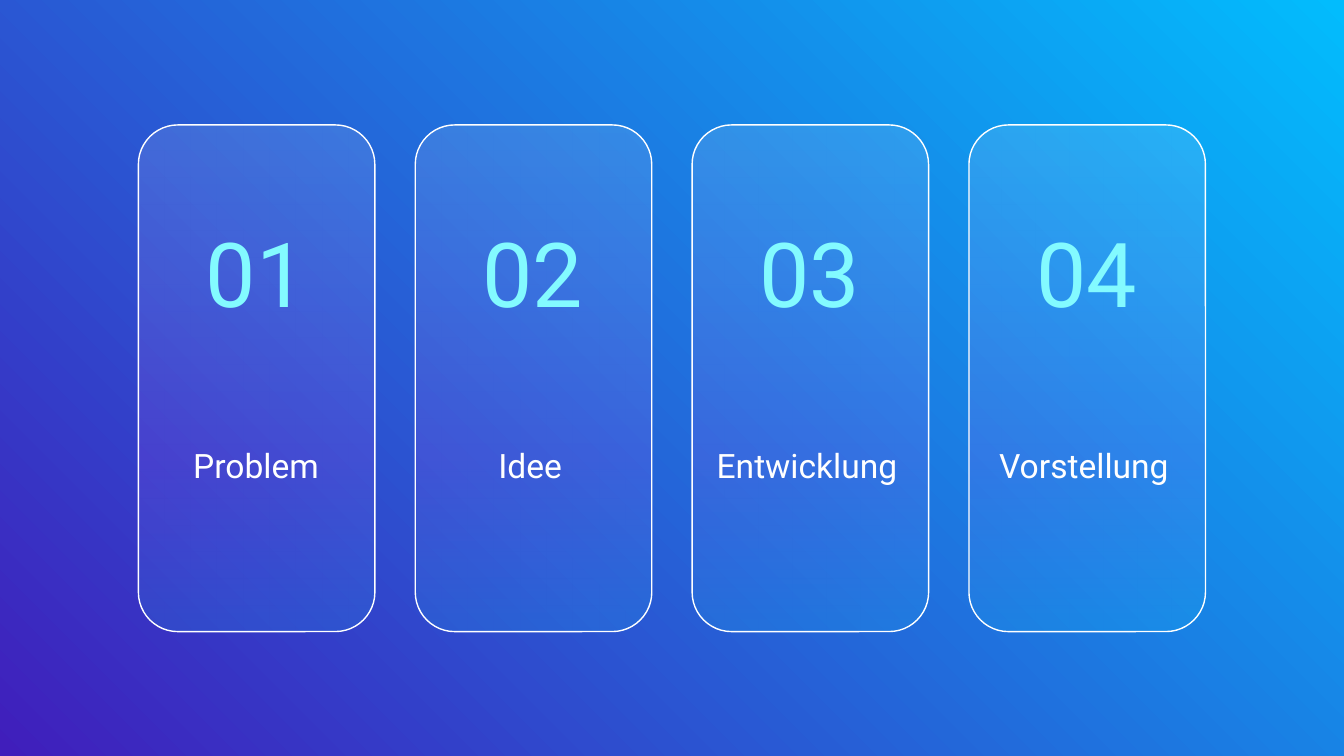
from dataclasses import dataclass

from lxml import etree
from pptx import Presentation
from pptx import util as u
from pptx.dml.color import RGBColor
from pptx.enum import shapes, text
from pptx.oxml.ns import qn


@dataclass(frozen=True)
class Theme:
    font: str = "Roboto"
    number_size: int = 48
    label_size: int = 18
    number_color: str = "83FAFF"
    white: str = "FFFFFF"
    background: tuple = ((0, "401EBB"), (100, "02BCFD"))
    glass: tuple = ((0, "FFFFFF"), (66, "E354F7"), (100, "10ECFF"))
    glass_opacity: int = 11


theme = Theme()


def apply_gradient(fill, stops, clockwise_angle, opacity=100):
    """Fill with linear gradient stops; positions and opacity are percentages."""
    fill.gradient()
    fill.gradient_angle = 360 - clockwise_angle
    stop_list = fill.gradient_stops._gsLst
    for stop in list(stop_list):
        stop_list.remove(stop)
    for position, color in stops:
        stop = etree.SubElement(stop_list, qn("a:gs"), pos=str(position * 1000))
        color_element = etree.SubElement(stop, qn("a:srgbClr"), val=color)
        if opacity < 100:
            etree.SubElement(color_element, qn("a:alpha"), val=str(opacity * 1000))


def write_heading(shape, box, content, size, color):
    """Place the shape at box (inches) and write one centred line at its bottom."""
    shape.left, shape.top, shape.width, shape.height = map(u.Inches, box)
    frame = shape.text_frame
    frame.word_wrap = True
    frame.auto_size = text.MSO_AUTO_SIZE.NONE
    frame.vertical_anchor = text.MSO_ANCHOR.BOTTOM
    frame.margin_left = frame.margin_right = u.Inches(0.1)
    frame.margin_top = frame.margin_bottom = u.Inches(0.1)
    paragraph = frame.paragraphs[0]
    paragraph.alignment = text.PP_ALIGN.CENTER
    run = paragraph.add_run()
    run.text = content
    run.font.name = theme.font
    run.font.size = u.Pt(size)
    run.font.color.rgb = RGBColor.from_string(color)


presentation = Presentation()
presentation.slide_width = u.Inches(10)
presentation.slide_height = u.Inches(10 * 9 / 16)
slide = presentation.slides.add_slide(presentation.slide_layouts[5])
apply_gradient(slide.background.fill, theme.background, 315)

first_left, card_step = 1.03, 2.06
card_top, card_width, card_height = 0.93, 1.76, 3.77
steps = ["Problem", "Idee", "Entwicklung", "Vorstellung"]

for index, step in enumerate(steps):
    left = first_left + index * card_step

    card = slide.shapes.add_shape(
        shapes.MSO_SHAPE.ROUNDED_RECTANGLE,
        u.Inches(left), u.Inches(card_top), u.Inches(card_width), u.Inches(card_height),
    )
    card.adjustments[0] = 0.167
    card.shadow.inherit = False
    apply_gradient(card.fill, theme.glass, 90, theme.glass_opacity)
    card.line.color.rgb = RGBColor.from_string(theme.white)
    card.line.width = u.Pt(0.75)

    if index == 0:
        number = slide.shapes.title
        slide.shapes._spTree.append(number._element)  # in front of its card
    else:
        number = slide.shapes.add_textbox(0, 0, 0, 0)
    write_heading(number, (left + 0.1, 1.36, 1.55, 1.16), f"{index + 1:02}",
                  theme.number_size, theme.number_color)

    label_left = left + 0.02 if index == 0 else left
    label = slide.shapes.add_textbox(0, 0, 0, 0)
    write_heading(label, (label_left, 3.07, 1.71, 0.64), step,
                  theme.label_size, theme.white)

presentation.save("out.pptx")
